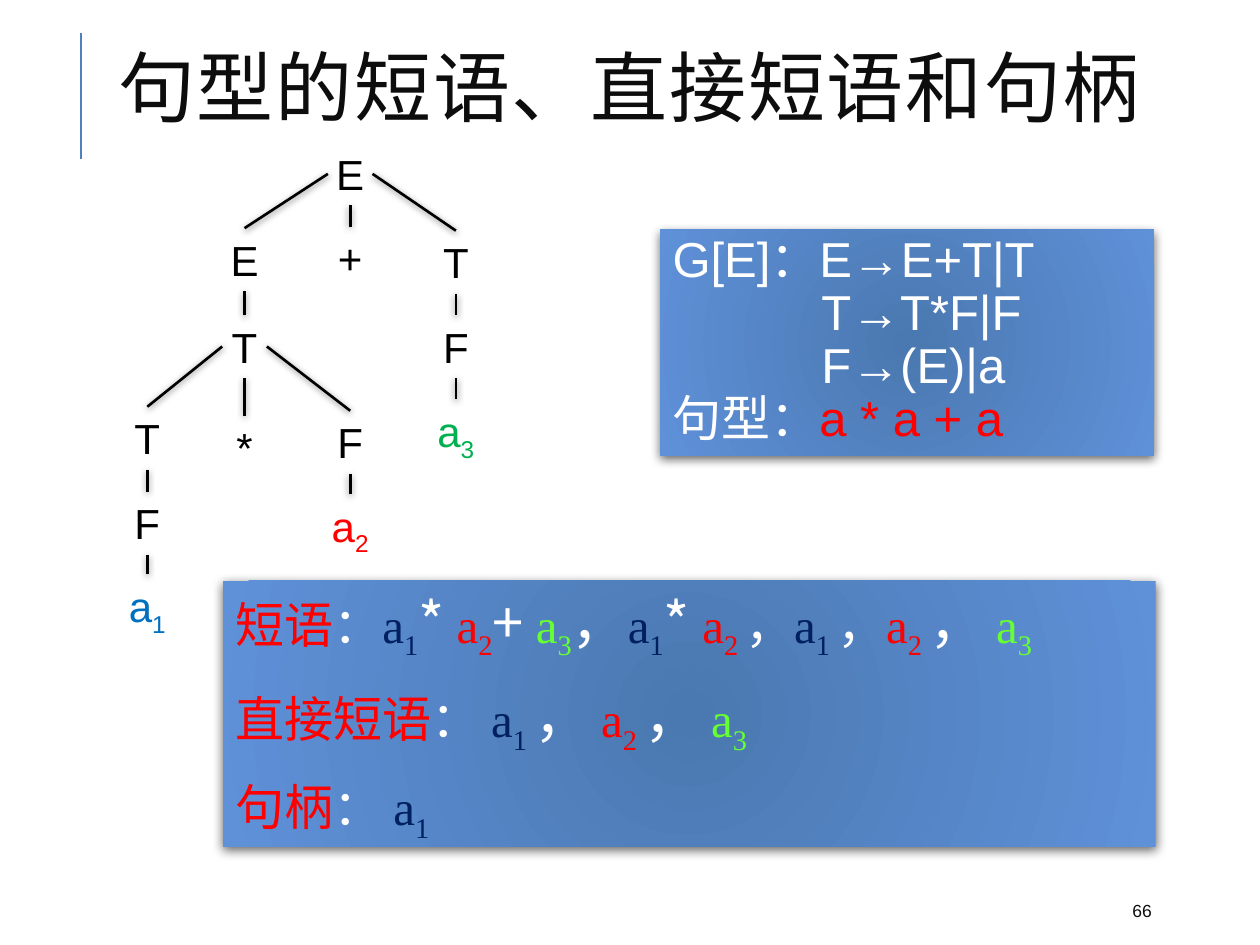
from lxml.etree import SubElement
from pptx import Presentation
from pptx.dml.color import RGBColor
from pptx.enum.shapes import MSO_CONNECTOR, MSO_SHAPE
from pptx.enum.text import MSO_ANCHOR, MSO_AUTO_SIZE, PP_ALIGN
from pptx.oxml.ns import qn
from pptx.util import Cm, Pt

BLACK = RGBColor(0x00, 0x00, 0x00)
INK = RGBColor(0x0D, 0x0D, 0x0D)
WHITE = RGBColor(0xFF, 0xFF, 0xFF)
RED = RGBColor(0xFF, 0x00, 0x00)
GREEN = RGBColor(0x00, 0xB0, 0x50)
BLUE = RGBColor(0x00, 0x70, 0xC0)
NAVY = RGBColor(0x00, 0x20, 0x60)
LIME = RGBColor(0x66, 0xFF, 0x33)
RULE = RGBColor(0x4F, 0x81, 0xBD)
PANEL_INNER = RGBColor(0x4A, 0x78, 0xB0)
PANEL_OUTER = RGBColor(0x5F, 0x91, 0xD9)

SANS, SERIF, CJK = "Arial", "Times New Roman", "Noto Sans CJK SC"


# Runs are (text, colour, font, size, subscript)
def serif(text, color=WHITE, subscript=False):
    return [(text, color, SERIF, 28, subscript)]


def term(index, color, gap=""):
    return serif("a", color) + serif(index + gap, color, True)


def mark(text, size=32):
    return [(text, WHITE, CJK, size, False)]


def sans(text, color=WHITE, size=28, subscript=False):
    return [(text, color, SANS, size, subscript)]


# Content
TITLE = "句型的短语、直接短语和句柄"
PAGE_NUMBER = "66"

GRAMMAR = [  # (left indent in cm, runs)
    (0, sans("G[E]：E→E+T|T")),
    (3, sans("T→T*F|F")),
    (3, sans("F→(E)|a")),
    (0, sans("句型：") + sans("a * a + a", RED)),
]

SPACE = serif(" ")
PRODUCT = term("1", NAVY) + mark("*") + SPACE
DIRECT = (term("1", NAVY, " ") + mark("，") + SPACE + term("2", RED, " ")
          + mark("，") + SPACE + term("3", LIME))
PHRASES = [
    serif("短语", RED) + serif("：")
    + PRODUCT + term("2", RED) + mark("+") + SPACE + term("3", LIME) + mark("，")
    + PRODUCT + term("2", RED, " ") + mark("，", 28)
    + term("1", NAVY, " ") + mark("，", 28)
    + term("2", RED, " ") + mark("，") + SPACE + term("3", LIME),
    serif("直接短语", RED) + serif("： ") + DIRECT,
    serif("句柄", RED) + serif("： ") + term("1", NAVY),
]

# Parse tree: name -> (symbol, subscript, colour, column, top in cm)
COLUMNS = [2.97, 4.93, 7.06, 9.19]
NODES = {
    "root": ("E", "", BLACK, 2, 2.87),
    "sum": ("E", "", BLACK, 1, 4.6),
    "plus": ("+", "", BLACK, 2, 4.57),
    "addend": ("T", "", BLACK, 3, 4.65),
    "product": ("T", "", BLACK, 1, 6.35),
    "addend factor": ("F", "", BLACK, 3, 6.35),
    "a3": ("a", "3", GREEN, 3, 8.05),
    "left": ("T", "", BLACK, 0, 8.2),
    "times": ("*", "", BLACK, 1, 8.38),
    "right": ("F", "", BLACK, 2, 8.28),
    "left factor": ("F", "", BLACK, 0, 9.91),
    "a2": ("a", "2", RED, 2, 9.96),
    "a1": ("a", "1", BLUE, 0, 11.58),
}
CHILDREN = {
    "root": ["sum", "plus", "addend"],
    "sum": ["product"],
    "addend": ["addend factor"],
    "addend factor": ["a3"],
    "product": ["left", "times", "right"],
    "left": ["left factor"],
    "left factor": ["a1"],
    "right": ["a2"],
}
NODE_WIDTH, LEAF_WIDTH, NODE_HEIGHT = 0.9, 1.3, 1.27


def add_runs(para, runs):
    for text, color, font, size, subscript in runs:
        span = para.add_run()
        span.text = text
        for name, value in {"name": font, "size": Pt(size)}.items():
            setattr(span.font, name, value)
        span.font.color.rgb = color
        properties = span.font._element
        SubElement(properties, qn("a:ea"), typeface=CJK)
        if subscript:
            properties.set("baseline", "-25000")


def set_effect(shape, opacity=0, blur=0, distance=0):
    """Write the effect list; with no opacity it stays empty."""
    effects = SubElement(shape._element.spPr, qn("a:effectLst"))
    if opacity:
        shadow = SubElement(effects, qn("a:outerShdw"), blurRad=str(Pt(blur)),
                            dist=str(Pt(distance)), dir="5400000", rotWithShape="0")
        color = SubElement(shadow, qn("a:srgbClr"), val=str(BLACK))
        SubElement(color, qn("a:alpha"), val=str(opacity * 1000))


def add_line(shapes, start, end, color):
    line = shapes.add_connector(MSO_CONNECTOR.STRAIGHT, *map(Cm, start + end))
    line.line.color.rgb = color
    line.line.width = Pt(1.5)
    return line


def add_panel(shapes, left, top, width, height):
    panel = shapes.add_shape(MSO_SHAPE.RECTANGLE, *map(Cm, (left, top, width, height)))
    panel.fill.gradient()
    for stop, color in zip(panel.fill.gradient_stops, (PANEL_INNER, PANEL_OUTER)):
        stop.color.rgb = color
    gradient = panel._element.spPr.find(qn("a:gradFill"))
    gradient.remove(gradient.find(qn("a:lin")))
    circle = SubElement(gradient, qn("a:path"), path="circle")
    SubElement(circle, qn("a:fillToRect"), l="100000", t="100000", r="100000", b="100000")
    panel.line.fill.background()
    set_effect(panel, 60, 6, 2)
    format_values = {"word_wrap": True, "vertical_anchor": MSO_ANCHOR.TOP, "margin_right": 0}
    for name, value in format_values.items():
        setattr(panel.text_frame, name, value)
    return panel.text_frame


def fill_panel(frame, paragraphs, **format_values):
    for index, runs in enumerate(paragraphs):
        para = frame.add_paragraph() if index else frame.paragraphs[0]
        para.alignment = PP_ALIGN.LEFT
        for name, value in format_values.items():
            if index or name != "space_before":
                setattr(para, name, value)
        add_runs(para, runs)


def add_node(shapes, symbol, subscript, color, column, top):
    width = LEAF_WIDTH if subscript else NODE_WIDTH
    box = shapes.add_textbox(Cm(COLUMNS[column] - width / 2), Cm(top),
                             Cm(width), Cm(NODE_HEIGHT))
    for name, value in {"word_wrap": True, "margin_left": 0, "margin_right": 0}.items():
        setattr(box.text_frame, name, value)
    para = box.text_frame.paragraphs[0]
    para.alignment = PP_ALIGN.CENTER
    add_runs(para, sans(symbol, color, 24))
    if subscript:
        add_runs(para, sans(subscript, color, 24, True))


def add_branch(shapes, parent, child):
    """Straight down below the parent, or slanting from its side."""
    parent_column, parent_top = parent[3:]
    child_column, child_top = child[3:]
    side = child_column - parent_column
    start = (COLUMNS[parent_column] + side * NODE_WIDTH / 2,
             parent_top + NODE_HEIGHT / (2 if side else 1))
    line = add_line(shapes, start, (COLUMNS[child_column], child_top), BLACK)
    set_effect(line, 50, 4, 1)


def main():
    deck = Presentation()
    deck.slide_width, deck.slide_height = Cm(25.4), Cm(19.05)
    page = deck.slides.add_slide(deck.slide_layouts[5])

    # Title with its rule, and the page number
    set_effect(add_line(page.shapes, (1.63, 0.66), (1.63, 3.2), RULE))
    title = page.shapes.title
    title.left, title.top, title.width, title.height = map(Cm, (2.13, 0.66, 21.59, 2.49))
    title.text_frame.auto_size = MSO_AUTO_SIZE.NONE
    title.text_frame.vertical_anchor = MSO_ANCHOR.MIDDLE
    para = title.text_frame.paragraphs[0]
    para.alignment, para.line_spacing = PP_ALIGN.LEFT, 0.8
    add_runs(para, sans(TITLE, INK, 44))
    para.runs[0].font._element.set("spc", "100")
    number = page.shapes.add_textbox(*map(Cm, (22.58, 17.98, 2.03, 0.76))).text_frame
    number.vertical_anchor = MSO_ANCHOR.MIDDLE
    add_runs(number.paragraphs[0], sans(PAGE_NUMBER, INK, 10))

    # Grammar panel
    frame = add_panel(page.shapes, 13.31, 4.62, 9.96, 4.57)
    fill_panel(frame, [runs for _, runs in GRAMMAR], line_spacing=0.9)
    for para, (indent, _) in zip(frame.paragraphs, GRAMMAR):
        para._p.get_or_add_pPr().set("marL", str(Cm(indent)))

    # Parse tree
    tree = page.shapes.add_group_shape().shapes
    for node in NODES.values():
        add_node(tree, *node)
    for parent, children in CHILDREN.items():
        for child in children:
            add_branch(tree, NODES[parent], NODES[child])

    # Phrases panel
    frame = add_panel(page.shapes, 4.5, 11.71, 18.8, 5.36)
    fill_panel(frame, PHRASES, space_before=Pt(6), space_after=Pt(6))

    deck.save("out.pptx")


if __name__ == "__main__":
    main()
